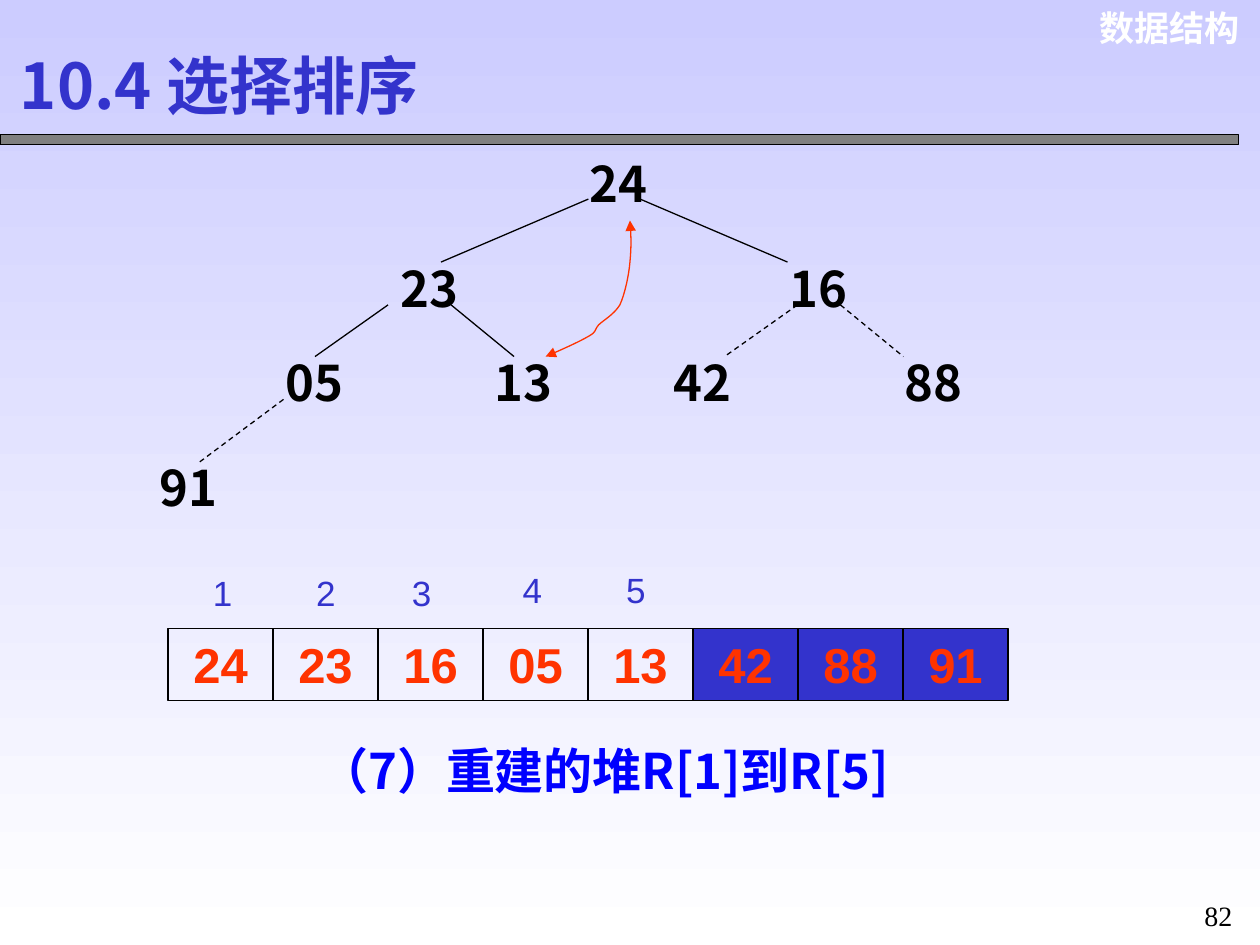
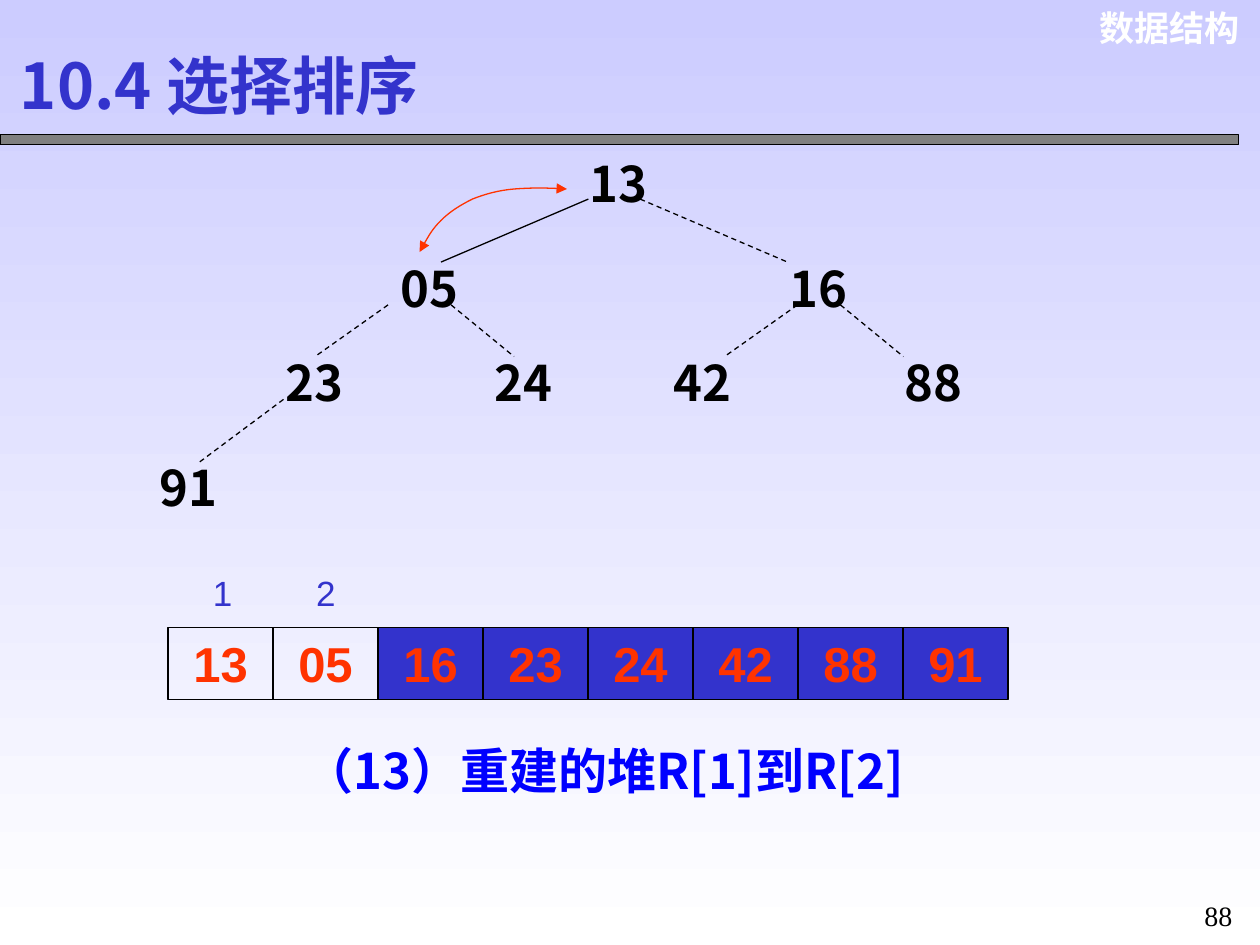
from lxml.etree import SubElement
from pptx import Presentation
from pptx.dml.color import RGBColor
from pptx.enum.dml import MSO_LINE
from pptx.enum.shapes import MSO_CONNECTOR, MSO_SHAPE
from pptx.enum.text import MSO_ANCHOR, MSO_AUTO_SIZE, PP_ALIGN
from pptx.oxml.ns import qn
from pptx.util import Inches, Pt

COLORS = {
    "sky": "CCCCFF",
    "white": "FFFFFF",
    "black": "000000",
    "bar": "808080",
    "indigo": "3333CC",
    "caption": "0000FF",
    "red": "FF3300",
}
CJK = "Noto Sans CJK SC"
NODES = [(4.58, 1.17), (3.08, 2), (6.17, 2), (2.17, 2.75),
         (3.83, 2.75), (5.25, 2.75), (7.08, 2.75), (1.17, 3.58)]
EDGES = [((4.67, 1.58), (3.5, 2.08)), ((5.08, 1.58), (6.25, 2.08)),
         ((3.08, 2.42), (2.5, 2.83)), ((3.58, 2.42), (4.08, 2.83)),
         ((6.33, 2.42), (5.75, 2.83)), ((6.67, 2.42), (7.17, 2.83)),
         ((2.25, 3.17), (1.58, 3.67))]
INDEX_LABELS = [(1.59, 4.49), (2.41, 4.49), (3.17, 4.49), (4.05, 4.46), (4.87, 4.46)]
CELL_LEFT, CELL_WIDTH, CELL_HEIGHT = 4 / 3, 5 / 6, 0.57

STEPS = [
    {
        "caption": "（7）重建的堆R[1]到R[5]",
        "values": ["24", "23", "16", "05", "13", "42", "88", "91"],
        "heap_size": 5,
        "cell_top": 4.99,
        "swap": [(4.33, 2.83), (4.47, 2.77), (4.6, 2.71), (4.67, 2.67),
                 (4.74, 2.63), (4.71, 2.63), (4.75, 2.58),
                 (4.79, 2.54), (4.87, 2.5), (4.92, 2.42),
                 (4.96, 2.33), (4.99, 2.19), (5, 2.08),
                 (5.01, 1.97), (5.01, 1.86), (5, 1.75)],
        "number": "82",
    },
    {
        "caption": "（13）重建的堆R[1]到R[2]",
        "values": ["13", "05", "16", "23", "24", "42", "88", "91"],
        "heap_size": 2,
        "cell_top": 4.98,
        "swap": [(3.33, 2), (3.38, 1.91), (3.43, 1.82), (3.5, 1.75),
                 (3.57, 1.68), (3.65, 1.63), (3.75, 1.58),
                 (3.85, 1.54), (3.96, 1.51), (4.08, 1.5),
                 (4.21, 1.49), (4.35, 1.49), (4.5, 1.5)],
        "number": "88",
    },
]


class HeapDeck:
    """Holds the deck style and draws heap sort steps on the current page."""

    def __init__(self):
        self.deck = Presentation()
        self.deck.slide_width = Inches(10)
        self.deck.slide_height = Inches(7.5)
        self.page = None

    def color(self, name):
        return RGBColor.from_string(COLORS[name])

    def start_page(self, number):
        self.page = self.deck.slides.add_slide(self.deck.slide_layouts[6])
        fill = self.page.background.fill
        fill.gradient()
        fill.gradient_angle = 270
        for stop, name in zip(fill.gradient_stops, ("sky", "white")):
            stop.color.rgb = self.color(name)
        self.text("数据结构", 8.57, 0, 1.37, 0.44, 20, "white", "Arial", align=PP_ALIGN.RIGHT)
        self.rectangle(0, 1.07, 9.83, 0.08, "bar")
        self.text("10.4 选择排序", 0.06, 0.29, 3.72, 0.75, 36, "indigo", anchor=MSO_ANCHOR.MIDDLE)
        self.text(number, 9.42, 7, 0.5, 0.45, 16, "black", "Times New Roman",
                  bold=False, align=PP_ALIGN.CENTER, spacing=1.3)

    def fill_text(self, shape, text, size, color, font, bold=True, align=PP_ALIGN.LEFT,
                  anchor=MSO_ANCHOR.TOP, wrap=True, spacing=None):
        frame = shape.text_frame
        frame.word_wrap = wrap
        frame.vertical_anchor = anchor
        if anchor == MSO_ANCHOR.TOP:
            frame.auto_size = MSO_AUTO_SIZE.SHAPE_TO_FIT_TEXT
        para = frame.paragraphs[0]
        para.alignment = align
        para.line_spacing = spacing
        span = para.add_run()
        span.text = text
        span.font.size = Pt(size)
        span.font.bold = bold
        span.font.name = font
        span.font.color.rgb = self.color(color)
        SubElement(span.font._element, qn("a:ea"), typeface=CJK)

    def text(self, text, left, top, width, height, size, color, font=CJK, **options):
        box = self.page.shapes.add_textbox(Inches(left), Inches(top), Inches(width), Inches(height))
        self.fill_text(box, text, size, color, font, **options)

    def outline(self, shape, color):
        shape.line.color.rgb = self.color(color)
        shape.line.width = Pt(0.75)

    def rectangle(self, left, top, width, height, fill=None):
        box = self.page.shapes.add_shape(
            MSO_SHAPE.RECTANGLE, Inches(left), Inches(top), Inches(width), Inches(height))
        box.shadow.inherit = False
        if fill:
            box.fill.solid()
            box.fill.fore_color.rgb = self.color(fill)
        else:
            box.fill.background()
        self.outline(box, "black")
        return box

    def edge(self, start, end, dashed):
        line = self.page.shapes.add_connector(
            MSO_CONNECTOR.STRAIGHT, *map(Inches, start), *map(Inches, end))
        self.outline(line, "black")
        if dashed:
            line.line.dash_style = MSO_LINE.DASH
        SubElement(line._element.spPr, qn("a:effectLst"))

    def swap_arrow(self, points):
        start, *controls = [(Inches(x), Inches(y)) for x, y in points]
        builder = self.page.shapes.build_freeform(*start)
        builder.add_line_segments(controls, close=False)
        arrow = builder.convert_to_shape()
        arrow.shadow.inherit = False
        arrow.fill.background()
        self.outline(arrow, "red")
        for end in ("a:headEnd", "a:tailEnd"):
            SubElement(arrow.line._get_or_add_ln(), qn(end), type="triangle")
        route = arrow._element.find(".//" + qn("a:path"))
        segments = route.findall(qn("a:lnTo"))
        for first in range(0, len(segments), 3):
            curve = SubElement(route, qn("a:cubicBezTo"))
            for segment in segments[first:first + 3]:
                curve.append(segment[0])
                route.remove(segment)

    def tree(self, values, heap_size):
        for value, (left, top) in zip(values, NODES):
            self.text(value, left, top, 0.67, 0.57, 28, "black")
        for child, (start, end) in enumerate(EDGES, 2):
            self.edge(start, end, dashed=child > heap_size)

    def array(self, values, heap_size, top):
        for index, value in enumerate(values):
            fill = "indigo" if index >= heap_size else None
            cell = self.rectangle(CELL_LEFT + index * CELL_WIDTH, top, CELL_WIDTH, CELL_HEIGHT, fill)
            self.fill_text(cell, value, 28, "red", "Arial", align=PP_ALIGN.CENTER)
        for number, (left, label_top) in enumerate(INDEX_LABELS[:heap_size], 1):
            self.text(str(number), left, label_top, 0.35, 0.44, 20, "indigo", "Arial",
                      bold=False, wrap=False)

    def step(self, caption, values, heap_size, cell_top, swap, number):
        self.start_page(number)
        self.text(caption, 1.92, 5.83, 5.75, 0.57, 28, "caption", align=PP_ALIGN.CENTER)
        self.tree(values, heap_size)
        self.array(values, heap_size, cell_top)
        self.swap_arrow(swap)


def main():
    heap_deck = HeapDeck()
    for step in STEPS:
        heap_deck.step(**step)
    heap_deck.deck.save("out.pptx")


if __name__ == "__main__":
    main()
